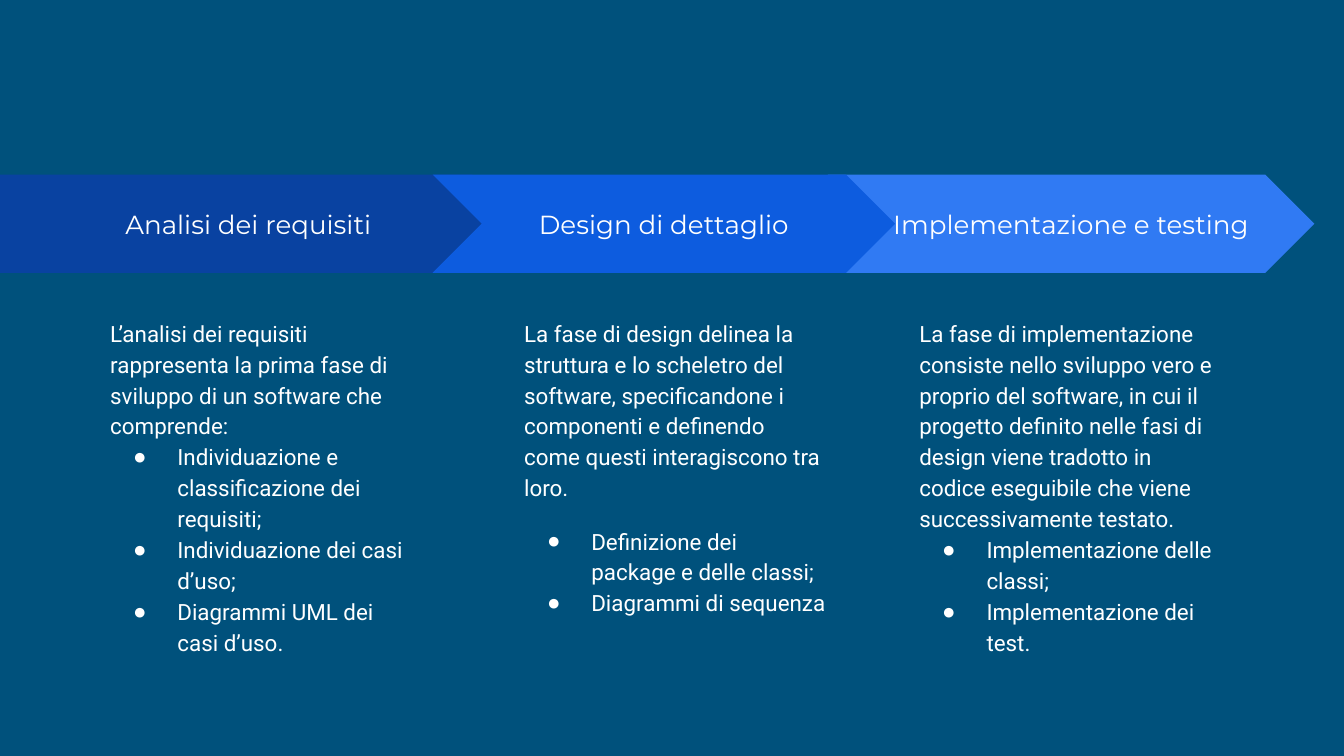
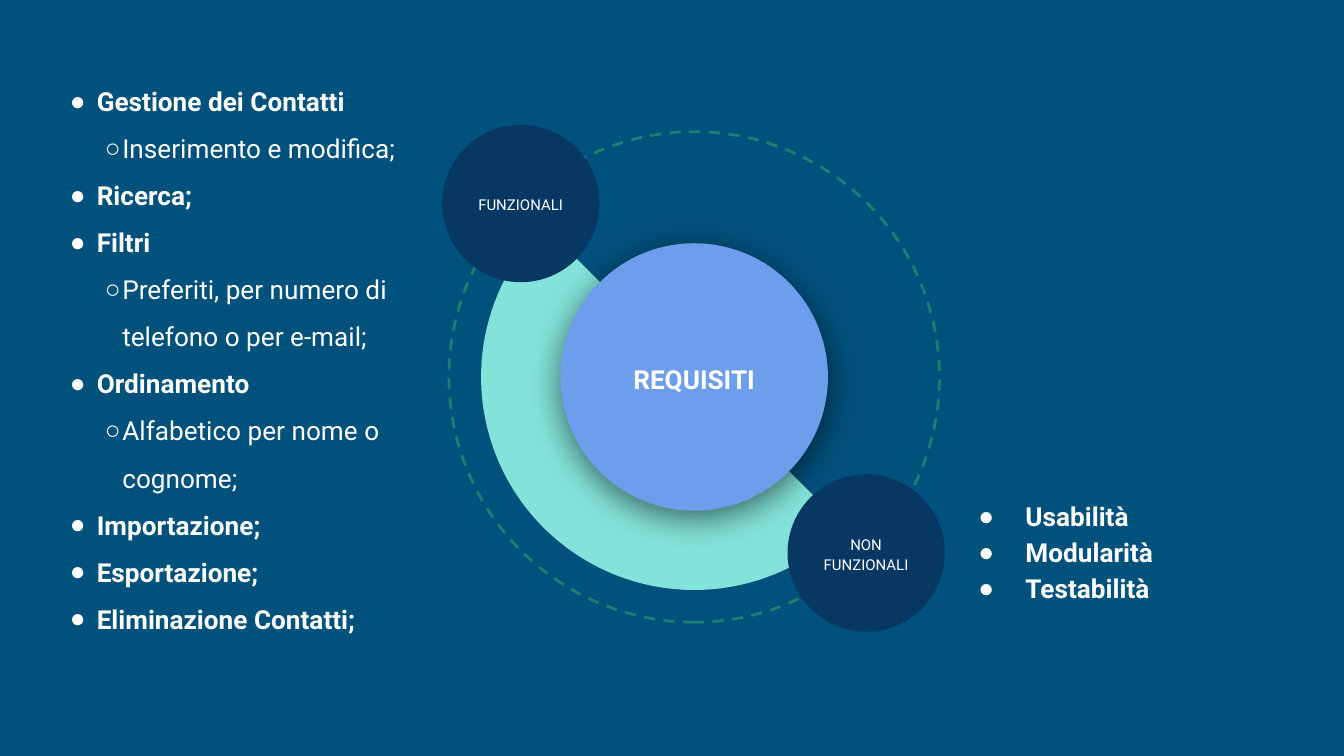
from dataclasses import dataclass

from lxml.etree import SubElement
from pptx import Presentation
from pptx.dml.color import RGBColor
from pptx.enum.dml import MSO_LINE
from pptx.enum.shapes import MSO_SHAPE as SHAPE
from pptx.enum.text import MSO_ANCHOR, MSO_AUTO_SIZE, PP_ALIGN
from pptx.oxml.ns import qn
from pptx.util import Inches, Pt

BACKGROUND = RGBColor(0x00, 0x51, 0x7C)
WHITE = RGBColor(0xFF, 0xFF, 0xFF)
NAVY = RGBColor(0x07, 0x37, 0x63)
DEEP_BLUE = RGBColor(0x09, 0x42, 0xA1)
BLUE = RGBColor(0x0D, 0x5C, 0xDF)
LIGHT_BLUE = RGBColor(0x30, 0x7A, 0xF3)
PERIWINKLE = RGBColor(0x6D, 0x9E, 0xEB)
MINT = RGBColor(0x83, 0xE3, 0xDA)
RING_GREEN = RGBColor(0x1D, 0x7E, 0x75)

HEADING_FONT, BODY_FONT = "Montserrat", "Roboto"
COMPARISON_LAYOUT, TWO_CONTENT_LAYOUT = 4, 3

ARROW_TOP, ARROW_HEIGHT = 1.3, 0.73
COLUMN_TOP, COLUMN_WIDTH, COLUMN_HEIGHT = 2.25, 2.45, 2.86
RING_LEFT, RING_TOP, RING_SIZE = 3.34, 0.98, 3.65
PIE_SIZE, HUB_SIZE, NODE_SIZE = 3.17, 1.99, 1.17
PIE_START, PIE_END = 44.83, 225.18
PIE_UNITS_PER_DEGREE = 0.6


@dataclass(frozen=True)
class Bullet:
    """Paragraph layout; an empty mark gives plain text."""
    mark: str = ""
    margin: float = 0
    indent: float = 0
    level: int = 0


@dataclass(frozen=True)
class Item:
    text: str
    bullet: Bullet
    bold: bool = False
    before: float = 0


@dataclass(frozen=True)
class Phase:
    title: str
    geometry: SHAPE
    left: float
    width: float
    fill: RGBColor
    column_left: float
    items: list[Item]


@dataclass(frozen=True)
class Node:
    label: str
    left: float
    top: float


PLAIN = Bullet()
STEP = Bullet("●", 0.5, -0.33)
FEATURE = Bullet("●", 0.5, -0.2)
DETAIL = Bullet("○", 0.69, -0.13, 1)
QUALITY = Bullet("●", 0.5, -0.35)

# Back to front: the middle arrow overlaps both neighbours.
PHASES = [
    Phase("Implementazione e testing", SHAPE.CHEVRON, 6.16, 3.62, LIGHT_BLUE, 6.74, [
        Item("La fase di implementazione consiste nello sviluppo vero e proprio del "
             "software, in cui il progetto definito nelle fasi di design viene "
             "tradotto in codice eseguibile che viene successivamente testato.", PLAIN),
        Item("Implementazione delle classi;", STEP),
        Item("Implementazione dei test.", STEP),
    ]),
    Phase("Analisi dei requisiti", SHAPE.PENTAGON, 0, 3.88, DEEP_BLUE, 0.72, [
        Item("L’analisi dei requisiti rappresenta la prima fase di sviluppo "
             "di un software che comprende:", PLAIN),
        Item("Individuazione e classificazione dei requisiti;", STEP),
        Item("Individuazione dei casi d’uso;", STEP),
        Item("Diagrammi UML dei casi d’uso.", STEP),
    ]),
    Phase("Design di dettaglio", SHAPE.CHEVRON, 3.22, 3.44, BLUE, 3.8, [
        Item("La fase di design delinea la struttura e lo scheletro del software, "
             "specificandone i componenti e definendo come questi interagiscono "
             "tra loro.", PLAIN, before=12),
        Item("Definizione dei package e delle classi;", STEP, before=12),
        Item("Diagrammi di sequenza", STEP),
    ]),
]

FUNCTIONAL = [
    Item("Gestione dei Contatti", FEATURE, True, 12),
    Item("Inserimento e modifica;", DETAIL),
    Item("Ricerca;", FEATURE, True),
    Item("Filtri", FEATURE, True),
    Item("Preferiti, per numero di telefono o per e-mail;", DETAIL),
    Item("Ordinamento", FEATURE, True),
    Item("Alfabetico per nome o cognome;", DETAIL),
    Item("Importazione;", FEATURE, True),
    Item("Esportazione;", FEATURE, True),
    Item("Eliminazione Contatti;", FEATURE, True),
]
NON_FUNCTIONAL = [
    Item("Usabilità", QUALITY, True, 12),
    Item("Modularità", QUALITY, True),
    Item("Testabilità", QUALITY, True),
]
NODES = [Node("FUNZIONALI", 3.29, 0.93), Node("NON FUNZIONALI", 5.86, 3.53)]


def set_frame(tf, anchor: MSO_ANCHOR, side_margin: float = 0.1) -> None:
    tf.word_wrap = True
    tf.auto_size = MSO_AUTO_SIZE.NONE
    tf.vertical_anchor = anchor
    tf.margin_left = tf.margin_right = Inches(side_margin)
    tf.margin_top = tf.margin_bottom = Inches(0.1)


def style_font(font, name: str, size: float, bold: bool = False) -> None:
    font.name, font.size, font.bold = name, Pt(size), bold
    font.color.rgb = WHITE


def set_bullet(p, bullet: Bullet) -> None:
    p.level = bullet.level
    props = p._p.get_or_add_pPr()
    props.set("marL", str(Inches(bullet.margin)))
    props.set("indent", str(Inches(bullet.indent)))
    if bullet.mark:
        color = SubElement(props, qn("a:buClr"))
        SubElement(color, qn("a:srgbClr"), val=str(WHITE))
        SubElement(props, qn("a:buChar"), char=bullet.mark)
    else:
        SubElement(props, qn("a:buNone"))


def fill_list(body, box: tuple[float, float, float, float], items: list[Item],
              size: float, spacing: float) -> None:
    """Move a body placeholder to box and write the items in it."""
    body.left, body.top, body.width, body.height = map(Inches, box)
    tf = body.text_frame
    set_frame(tf, MSO_ANCHOR.TOP)
    for i, item in enumerate(items):
        p = tf.add_paragraph() if i else tf.paragraphs[0]
        p.text = item.text
        p.alignment = PP_ALIGN.LEFT
        p.line_spacing = spacing
        p.space_before, p.space_after = Pt(item.before), Pt(0)
        set_bullet(p, item.bullet)
        style_font(p.runs[0].font, BODY_FONT, size, item.bold)


def add_shape(slide, geometry: SHAPE, left: float, top: float, width: float,
              height: float, fill: RGBColor | None = None):
    s = slide.shapes.add_shape(geometry, *map(Inches, (left, top, width, height)))
    s.shadow.inherit = False
    s.line.fill.background()
    if fill is None:
        s.fill.background()
    else:
        s.fill.solid()
        s.fill.fore_color.rgb = fill
    return s


def add_label(s, text: str, font: str, size: float, bold: bool = False,
              spacing: float = 1.0, side_margin: float = 0.1) -> None:
    tf = s.text_frame
    tf.text = text
    set_frame(tf, MSO_ANCHOR.MIDDLE, side_margin)
    p = tf.paragraphs[0]
    p.alignment, p.line_spacing = PP_ALIGN.CENTER, spacing
    style_font(p.runs[0].font, font, size, bold)


def add_concentric(slide, geometry: SHAPE, size: float, fill: RGBColor | None = None):
    inset = (RING_SIZE - size) / 2
    return add_shape(slide, geometry, RING_LEFT + inset, RING_TOP + inset, size, size, fill)


def add_soft_shadow(s) -> None:
    effects = s._element.spPr.find(qn("a:effectLst"))
    shadow = SubElement(effects, qn("a:outerShdw"), blurRad=str(Pt(18)), dist=str(Pt(4)),
                        dir=str(90 * 60000), algn="bl", rotWithShape="0")
    color = SubElement(shadow, qn("a:srgbClr"), val="000000")
    SubElement(color, qn("a:alpha"), val="55000")


def add_slide(prs, layout: int, body_count: int):
    """Return a slide without title and its first body placeholders."""
    slide = prs.slides.add_slide(prs.slide_layouts[layout])
    title, *bodies = slide.placeholders
    for unused in [title, *bodies[body_count:]]:
        unused._element.getparent().remove(unused._element)
    return slide, bodies[:body_count]


def build_phases(prs) -> None:
    slide, bodies = add_slide(prs, COMPARISON_LAYOUT, len(PHASES))
    for phase, body in zip(PHASES, bodies):
        s = add_shape(slide, phase.geometry, phase.left, ARROW_TOP,
                      phase.width, ARROW_HEIGHT, phase.fill)
        s.adjustments[0] = 0.5
        add_label(s, phase.title, HEADING_FONT, 14)
        box = (phase.column_left, COLUMN_TOP, COLUMN_WIDTH, COLUMN_HEIGHT)
        fill_list(body, box, phase.items, 12, 1.15)


def build_requirements(prs) -> None:
    slide, (functional, non_functional) = add_slide(prs, TWO_CONTENT_LAYOUT, 2)
    fill_list(functional, (0.12, 0.42, 3.21, 4.04), FUNCTIONAL, 14, 1.5)
    fill_list(non_functional, (7.03, 3.59, 2.52, 1.65), NON_FUNCTIONAL, 14, 1.15)

    ring = add_concentric(slide, SHAPE.OVAL, RING_SIZE)
    ring.rotation = 270
    ring.line.color.rgb = RING_GREEN
    ring.line.width = Pt(1.5)
    ring.line.dash_style = MSO_LINE.DASH

    pie = add_concentric(slide, SHAPE.PIE, PIE_SIZE, MINT)
    for i, angle in enumerate((PIE_START, PIE_END)):
        pie.adjustments[i] = angle * PIE_UNITS_PER_DEGREE

    hub = add_concentric(slide, SHAPE.OVAL, HUB_SIZE, PERIWINKLE)
    add_soft_shadow(hub)
    add_label(hub, "REQUISITI", BODY_FONT, 14, True, 1.15)

    for node in NODES:
        s = add_shape(slide, SHAPE.OVAL, node.left, node.top, NODE_SIZE, NODE_SIZE, NAVY)
        add_label(s, node.label, BODY_FONT, 8, spacing=1.15, side_margin=0.05)


def main() -> None:
    prs = Presentation()
    prs.slide_width = Inches(10)
    prs.slide_height = prs.slide_width * 9 // 16
    background = prs.slide_master.background.fill
    background.solid()
    background.fore_color.rgb = BACKGROUND
    build_phases(prs)
    build_requirements(prs)
    prs.save("out.pptx")


if __name__ == "__main__":
    main()
